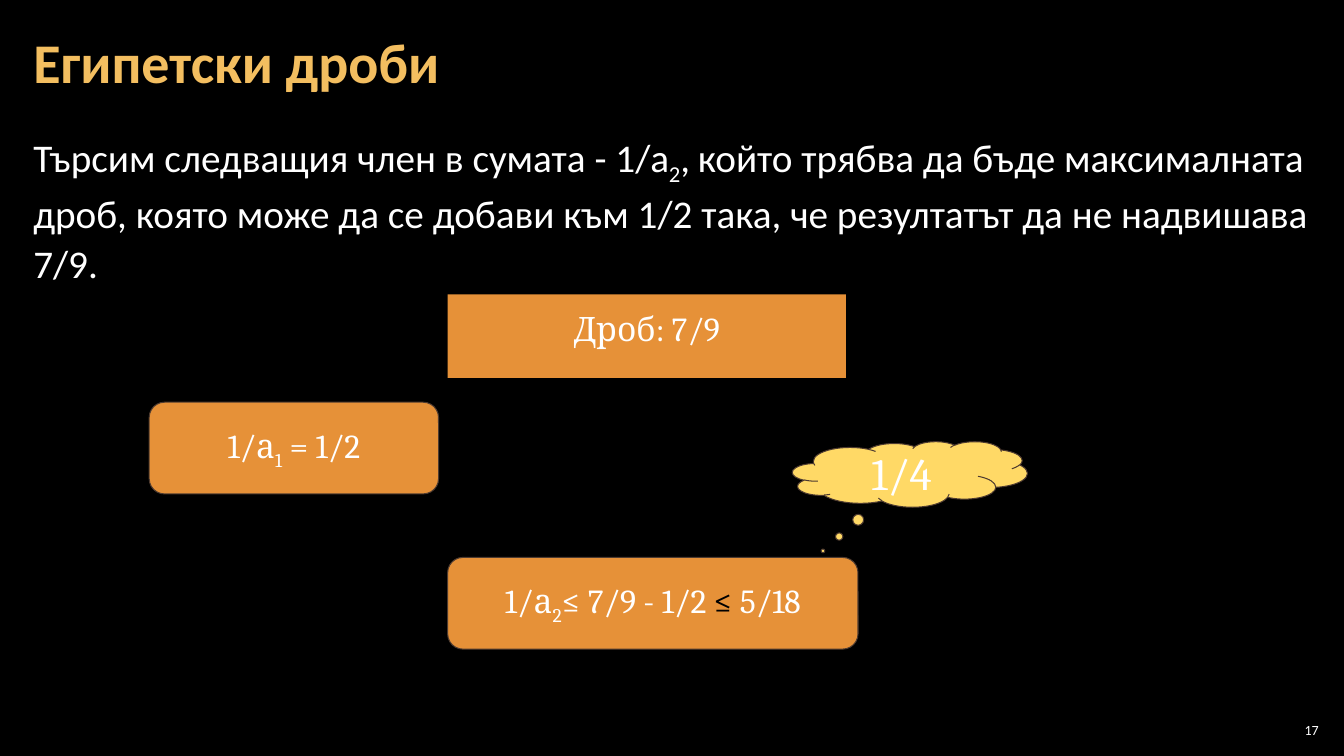
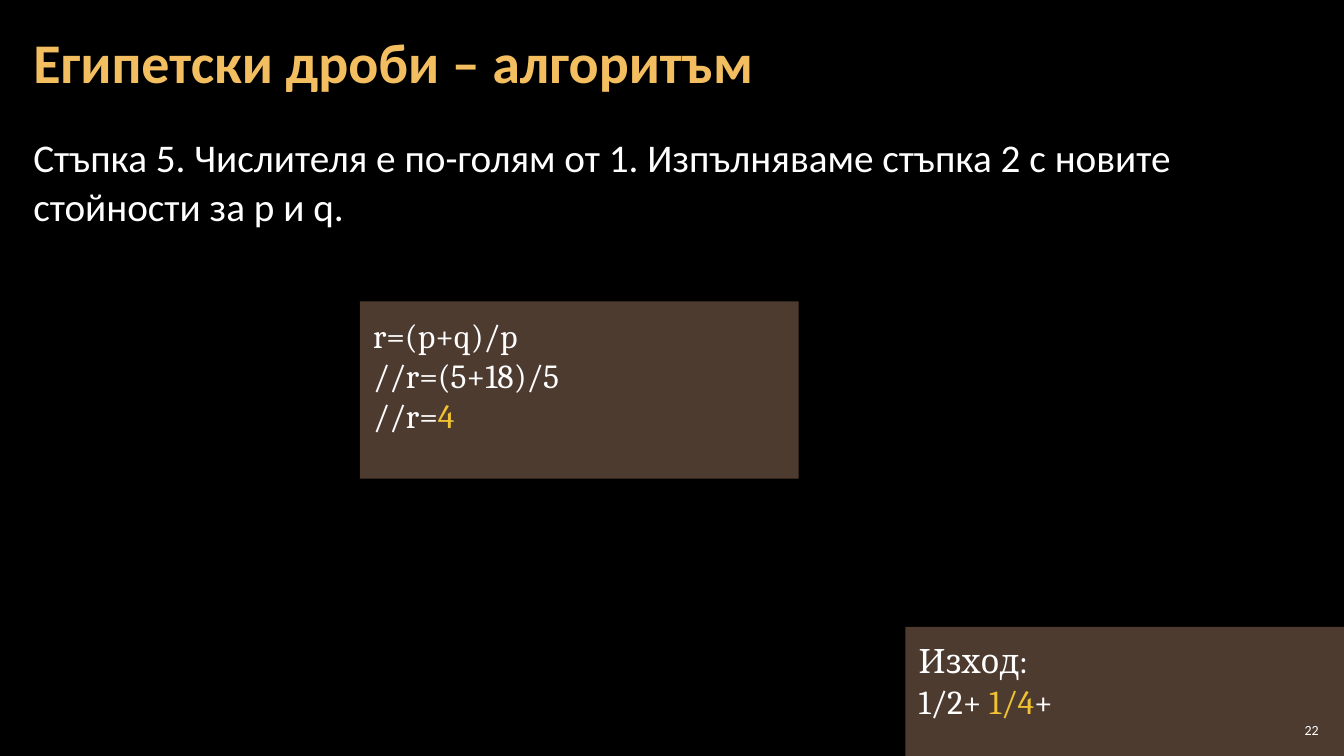
from pptx import Presentation
from pptx.dml.color import RGBColor
from pptx.enum.shapes import MSO_SHAPE
from pptx.enum.text import MSO_ANCHOR, MSO_AUTO_SIZE, PP_ALIGN
from pptx.util import Inches, Pt

HUES = {"back": "000000", "text": "FFFFFF", "title": "F3BE60", "box": "E69138",
        "cloud": "FFD966", "brown": "4E3B30", "mark": "F1C232"}
LOW = {"base": -25000}
MARK = {"hue": "mark"}


def color(name):
    return RGBColor.from_string(HUES[name])


def write(frame, lines, size=24, font="Cambria", hue="text", bold=False,
          align=PP_ALIGN.LEFT, anchor=MSO_ANCHOR.TOP, inset=(0.13, 0.13),
          lead=None, after=0):
    frame.word_wrap = True
    frame.auto_size = MSO_AUTO_SIZE.NONE
    frame.vertical_anchor = anchor
    frame.margin_left = frame.margin_right = Inches(inset[0])
    frame.margin_top = frame.margin_bottom = Inches(inset[1])
    for i, line in enumerate(lines):
        para = frame.add_paragraph() if i else frame.paragraphs[0]
        para.alignment = align
        para.space_before, para.space_after = Pt(0), Pt(after)
        if lead:
            para.line_spacing = lead
        for part in [line] if isinstance(line, str) else line:
            text, look = (part, {}) if isinstance(part, str) else part
            run = para.add_run()
            run.text = text
            run.font.name, run.font.bold = font, bold
            run.font.size = Pt(look.get("size", size))
            run.font.color.rgb = color(look.get("hue", hue))
            if "base" in look:
                run.font._element.set("baseline", str(look["base"]))


class Deck:
    """Holds the shared style and the current slide."""

    def __init__(self):
        self.file = Presentation()
        self.file.slide_width = Inches(13.33)
        self.file.slide_height = Inches(7.5)
        self.slide = None

    def start(self, title, body):
        self.slide = self.file.slides.add_slide(self.file.slide_layouts[5])
        fill = self.slide.background.fill
        fill.solid()
        fill.fore_color.rgb = color("back")
        head = self.slide.shapes.title
        head.left, head.top = Inches(0.21), Inches(0.04)
        head.width, head.height = Inches(12.91), Inches(1.21)
        write(head.text_frame, [title], size=40, font="Calibri", hue="title",
              bold=True, anchor=MSO_ANCHOR.MIDDLE, inset=(0.12, 0.04), lead=0.9)
        self.label((0.21, 1.26, 12.91, 6.09), [body], size=28,
                   inset=(0.12, 0.04), lead=1.05, after=6)

    def label(self, place, lines, **style):
        box = self.slide.shapes.add_textbox(*map(Inches, place))
        write(box.text_frame, lines, font="Calibri", **style)

    def shape(self, kind, place, fill, lines, edge=False, **style):
        item = self.slide.shapes.add_shape(kind, *map(Inches, place))
        item.shadow.inherit = False
        item.fill.solid()
        item.fill.fore_color.rgb = color(fill)
        if edge:
            item.line.color.rgb = color("brown")
            item.line.width = Pt(0.75)
        else:
            item.line.fill.background()
        write(item.text_frame, lines, **style)
        return item

    def term(self, left, top, width, line):
        self.shape(MSO_SHAPE.ROUNDED_RECTANGLE, (left, top, width, 0.91), "box",
                   [line], edge=True, align=PP_ALIGN.CENTER, anchor=MSO_ANCHOR.MIDDLE)

    def cloud(self, place, text):
        item = self.shape(MSO_SHAPE.CLOUD_CALLOUT, place, "cloud", [text], edge=True,
                          size=32, align=PP_ALIGN.CENTER, anchor=MSO_ANCHOR.MIDDLE)
        item.adjustments[0], item.adjustments[1] = -0.37, 1.17

    def panel(self, left, top, height, lines):
        self.shape(MSO_SHAPE.RECTANGLE, (left, top, 4.35, height), "brown", lines)

    def number(self, value):
        self.label((12.65, 7.14, 0.47, 0.21), [str(value)], size=10,
                   align=PP_ALIGN.RIGHT, anchor=MSO_ANCHOR.MIDDLE, inset=(0.04, 0.04))


def main():
    deck = Deck()

    deck.start("Египетски дроби", [
        "Търсим следващия член в сумата - 1/а", ("2", LOW), ",", (" ", {"size": 24}),
        "който трябва да бъде максималната дроб, която може да се добави към 1/2 "
        "така, че резултатът да не надвишава 7/9."])
    deck.shape(MSO_SHAPE.RECTANGLE, (4.44, 2.92, 3.95, 0.83), "box",
               ["Дроб: 7/9"], align=PP_ALIGN.CENTER)
    deck.term(1.48, 3.99, 2.87, ["1/а", ("1", LOW), " = 1/2"])
    deck.term(4.44, 5.53, 4.07, ["1/а", ("2", LOW), "≤ 7/9 - 1/2 ",
                                 ("≤ ", {"hue": "back"}), "5/18"])
    deck.cloud((7.86, 4.38, 2.33, 0.65), "1/4")
    deck.number(17)

    deck.start("Египетски дроби – алгоритъм",
               "Стъпка 5. Числителя е по-голям от 1. Изпълняваме стъпка 2 "
               "с новите стойности за p и q.")
    deck.panel(3.57, 2.99, 1.76,
               ["r=(p+q)/p", "//r=(5+18)/5", ["//r=", ("4", MARK)]])
    deck.panel(8.98, 6.22, 1.28, ["Изход:", ["1/2+ ", ("1/4", MARK), "+"]])
    deck.number(22)

    deck.file.save("out.pptx")


if __name__ == "__main__":
    main()
